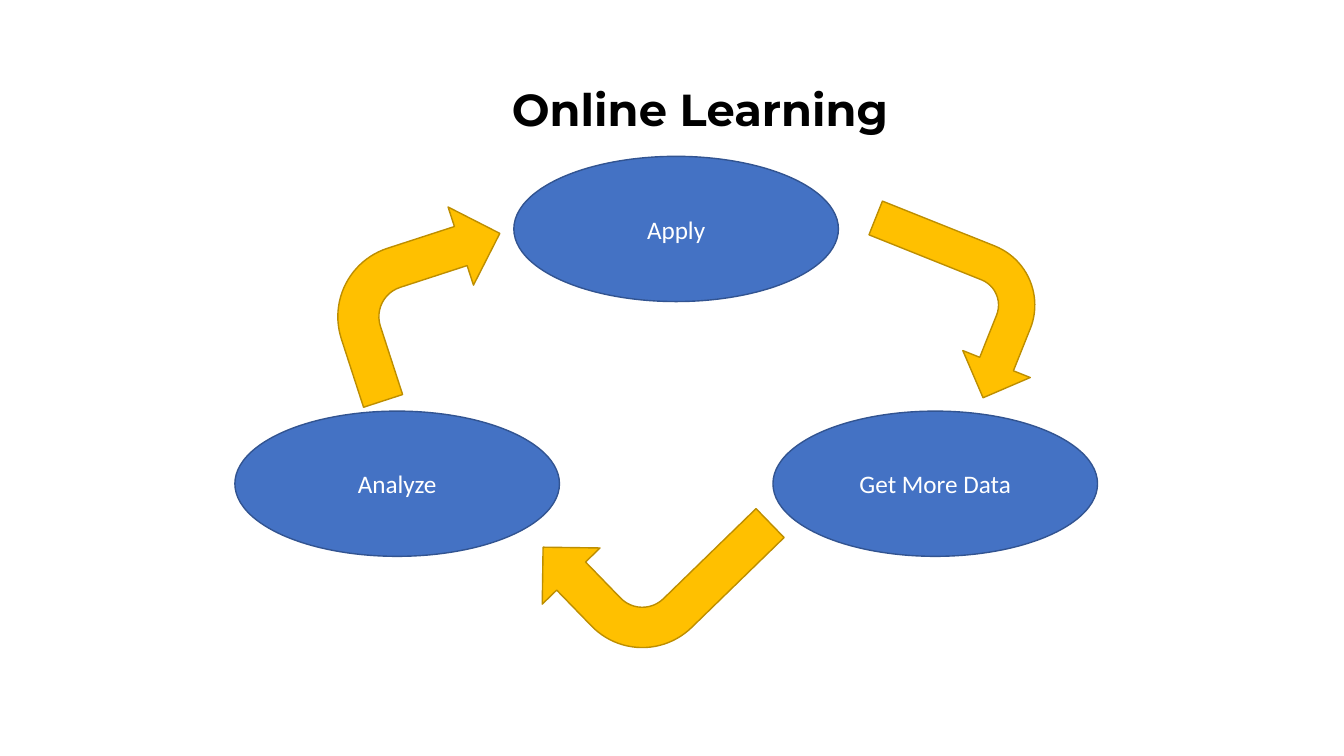
from pptx import Presentation
from pptx import util as u
from pptx.dml.color import RGBColor
from pptx.enum import shapes, text


def color(hex_code):
    return RGBColor.from_string(hex_code)


class CycleSlide:
    step_fill, step_line = "4472C4", "325491"
    arrow_fill, arrow_line = "FFC000", "BD8E00"
    step_size = (8.18, 3.66)

    def __init__(self, slide):
        self.slide = slide

    def preset(self, kind, box, fill, line):
        shape = self.slide.shapes.add_shape(kind, *map(u.Cm, box))
        shape.shadow.inherit = False
        shape.fill.solid()
        shape.fill.fore_color.rgb = color(fill)
        shape.line.color.rgb = color(line)
        shape.line.width = u.Pt(1)
        return shape

    def add_words(self, paragraph, words, font, size, ink, bold=False):
        run = paragraph.add_run()
        run.text = words
        run.font.name = font
        run.font.size = u.Pt(size)
        run.font.bold = bold
        run.font.color.rgb = color(ink)

    def step(self, words, left, top):
        ellipse = self.preset(shapes.MSO_SHAPE.OVAL, (left, top, *self.step_size),
                              self.step_fill, self.step_line)
        frame = ellipse.text_frame
        frame.word_wrap = True
        frame.vertical_anchor = text.MSO_ANCHOR.MIDDLE
        paragraph = frame.paragraphs[0]
        paragraph.alignment = text.PP_ALIGN.CENTER
        self.add_words(paragraph, words, "Calibri", 18, "FFFFFF")

    def arrow(self, box, rotation):
        bend = self.preset(shapes.MSO_SHAPE.BENT_ARROW, box,
                           self.arrow_fill, self.arrow_line)
        bend.rotation = rotation

    def title(self, words, box):
        frame = self.slide.shapes.add_textbox(*map(u.Cm, box)).text_frame
        frame.word_wrap = True
        frame.auto_size = text.MSO_AUTO_SIZE.SHAPE_TO_FIT_TEXT
        self.add_words(frame.paragraphs[0], words, "Montserrat", 32, "000000", bold=True)


deck = Presentation()
deck.slide_width, deck.slide_height = u.Cm(33.87), u.Cm(19.05)
cycle = CycleSlide(deck.slides.add_slide(deck.slide_layouts[6]))

upper_row, lower_row = 3.94, 10.36
cycle.step("Analyze", 5.92, lower_row)
cycle.step("Apply", 12.95, upper_row)
cycle.step("Get More Data", 19.48, lower_row)

analyze_to_apply = (8.41, 5.51, 4.62, 4.14)
apply_to_data = (22.1, 5.16, 3.66, 5.11)
data_to_analyze = (14.33, 11.25, 4.06, 5.54)
cycle.arrow(analyze_to_apply, 342)
cycle.arrow(apply_to_data, 111.8)
cycle.arrow(data_to_analyze, 225.8)

cycle.title("Online Learning", (12.65, 1.93, 18.39, 1.63))

deck.save("out.pptx")
